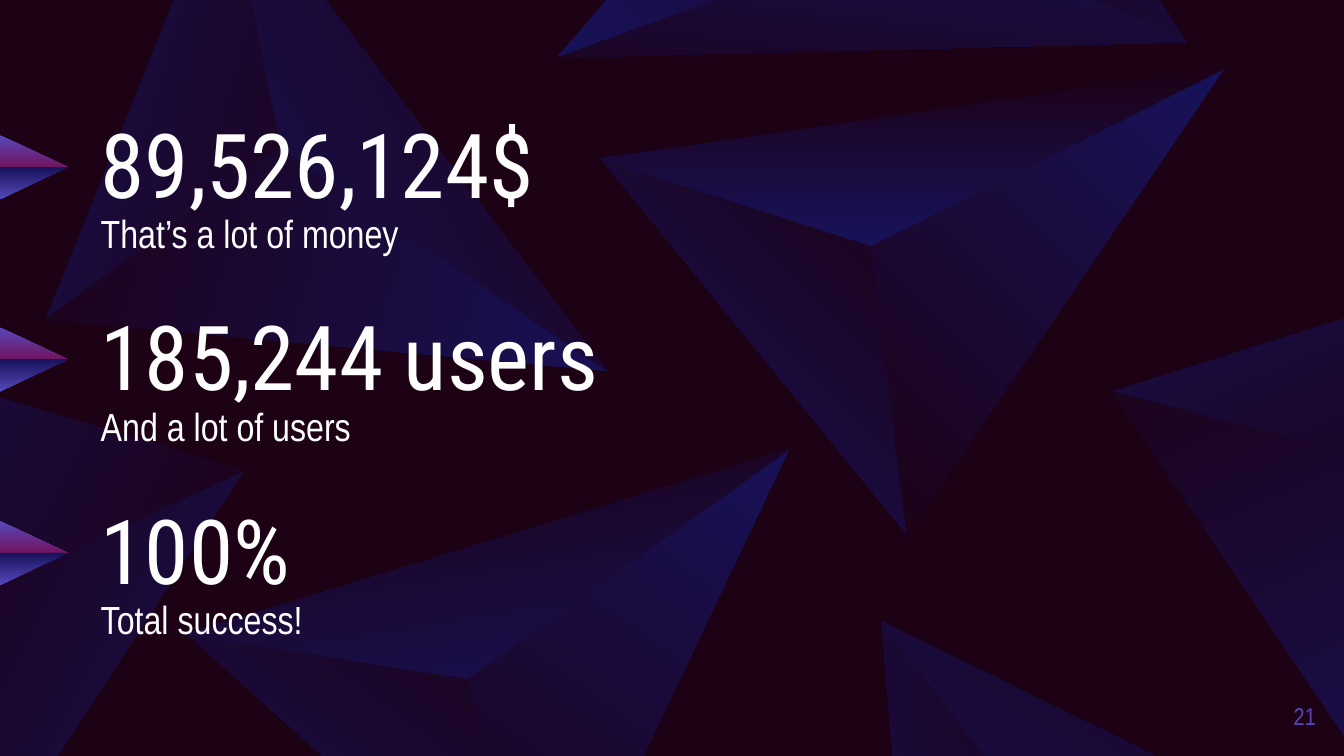
from math import cos, sin, radians
from lxml.etree import SubElement
from pptx import Presentation
from pptx.dml.color import RGBColor
from pptx.enum.shapes import MSO_SHAPE as Shape
from pptx.enum.text import MSO_ANCHOR as Anchor, PP_ALIGN as Align
from pptx.oxml.ns import qn
from pptx.util import Pt

WIDE, HIGH = 720, 405
DARK = RGBColor(0x1D, 0x02, 0x16)
NAVY = RGBColor(0x17, 0x12, 0x5A)
VIOLET = RGBColor(0x56, 0x48, 0xBA)
PLUM = RGBColor(0x71, 0x16, 0x62)
WHITE = RGBColor(0xFF, 0xFF, 0xFF)
HEAD, BODY = "Roboto Condensed", "Arial Narrow"

# Corners of an upright gem, measured from the ridge point its facets share
RIDGE, LEFT, FOOT, RIGHT = (0, 0), (-144.7, -46.8), (19.4, 154.8), (189.4, -95)
FACETS = [((LEFT, FOOT, RIDGE), 315),
          ((FOOT, RIGHT, RIDGE), 135),
          ((LEFT, RIDGE, RIGHT), 270)]
# Ridge point x, y and turn in degrees
GEMS = [(466.6, 131.8, 0), (497.5, -41, 186.8), (746.6, 249.1, 111.7),
        (250.2, 363.6, 351.2), (-10.8, 317.5, 252.3), (150.5, 79.2, 61),
        (565.2, 453.2, 34.4)]
# Top, figure height, note height, figure, note
STATS = [(66.2, 50.4, 36.7, "89,526,124$", "That’s a lot of money"),
         (149, 70.6, 36.7, "185,244 users", "And a lot of users"),
         (252.7, 70.6, 25.9, "100%", "Total success!")]


def shade(shape, stops, angle):
    """Fill with a linear gradient; angle runs clockwise in degrees."""
    shape.shadow.inherit = False
    shape.line.fill.background()
    shape.fill.gradient()
    shape.fill.gradient_angle = -angle % 360
    ramp = shape._element.spPr.find(".//" + qn("a:gsLst"))
    for old in list(ramp):
        ramp.remove(old)
    for place, color in stops:
        stop = SubElement(ramp, qn("a:gs"), pos=str(place * 1000))
        SubElement(stop, qn("a:srgbClr"), val=str(color))


def turn(point, angle):
    x, y = point
    c, s = cos(radians(angle)), sin(radians(angle))
    return x * c - y * s, x * s + y * c


def middle(values):
    return (min(values) + max(values)) / 2


def add_gem(slide, x, y, angle):
    """Draw the facets that reach the slide, each turned about its centre."""
    for points, slant in FACETS:
        xs, ys = zip(*(turn(p, angle) for p in points))
        if (x + max(xs) <= 0 or x + min(xs) >= WIDE
                or y + max(ys) <= 0 or y + min(ys) >= HIGH):
            continue
        mid = [middle(axis) for axis in zip(*points)]
        moved = turn(mid, angle)
        dx, dy = x + moved[0] - mid[0], y + moved[1] - mid[1]
        path = [(Pt(px + dx), Pt(py + dy)) for px, py in points]
        form = slide.shapes.build_freeform(*path[0])
        form.add_line_segments(path[1:], close=True)
        facet = form.convert_to_shape()
        facet.rotation = angle
        shade(facet, [(0, NAVY), (100, DARK)], slant)


def add_text(slide, box, text, font, size, color, anchor=Anchor.TOP):
    frame = slide.shapes.add_textbox(*map(Pt, box)).text_frame
    frame.margin_left = frame.margin_right = 0
    frame.margin_top = frame.margin_bottom = 0
    frame.word_wrap = True
    frame.vertical_anchor = anchor
    para = frame.paragraphs[0]
    para.text = text
    para.font.name = font
    para.font.size = Pt(size)
    para.font.color.rgb = color
    return para


def add_marker(slide, x, y, w, h):
    mark = slide.shapes.add_shape(Shape.ISOSCELES_TRIANGLE,
                                  Pt(x), Pt(y), Pt(w), Pt(h))
    mark.rotation = 90
    shade(mark, [(0, VIOLET), (49, PLUM), (50, NAVY), (100, VIOLET)], 0)


def add_stat(slide, x, y, w, tall, low, figure, note):
    """Place a big figure, the note under it and the marker at the edge."""
    base = y + tall
    para = add_text(slide, (x, y, w, tall), figure, HEAD, 48, WHITE,
                    Anchor.BOTTOM)
    para.line_spacing = 0.9
    para = add_text(slide, (x, base - 4.3, w, low), note, BODY, 21, WHITE)
    para.space_after = Pt(6)
    add_marker(slide, 0.7, base - 45.4, 34.6, 36.7)


def main():
    deck = Presentation()
    deck.slide_width, deck.slide_height = Pt(WIDE), Pt(HIGH)
    slide = deck.slides.add_slide(deck.slide_layouts[6])
    back = slide.background.fill
    back.solid()
    back.fore_color.rgb = DARK
    for gem in GEMS:
        add_gem(slide, *gem)
    for top, tall, low, figure, note in STATS:
        add_stat(slide, 54, top, 612, tall, low, figure, note)
    number = add_text(slide, (673.2, 368, 31.7, 31), "21", BODY, 13, VIOLET,
                      Anchor.MIDDLE)
    number.alignment = Align.RIGHT
    deck.save("out.pptx")


if __name__ == "__main__":
    main()
